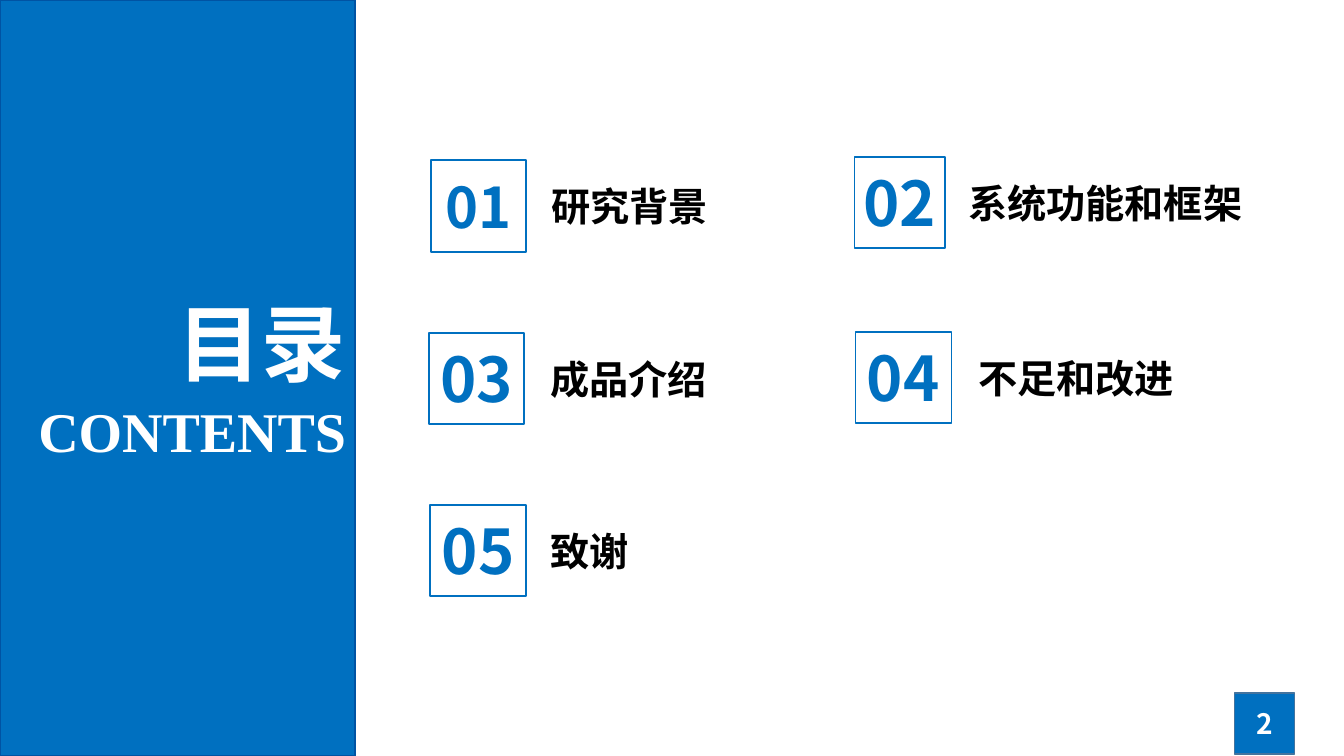
from lxml import etree
from pptx import Presentation
from pptx.dml.color import RGBColor
from pptx.enum.shapes import MSO_SHAPE
from pptx.enum.text import MSO_ANCHOR, MSO_AUTO_SIZE, PP_ALIGN
from pptx.oxml.ns import qn
from pptx.util import Emu, Inches, Pt

RECTANGLE = MSO_SHAPE.RECTANGLE
TOP, MIDDLE = MSO_ANCHOR.TOP, MSO_ANCHOR.MIDDLE
NO_AUTOFIT = MSO_AUTO_SIZE.NONE
LEFT, CENTER, RIGHT = PP_ALIGN.LEFT, PP_ALIGN.CENTER, PP_ALIGN.RIGHT

BLUE = RGBColor(0x00, 0x70, 0xC0)
PANEL_EDGE = RGBColor(0x00, 0x53, 0xA3)
PAGE_EDGE = RGBColor(0x43, 0x73, 0x9E)
WHITE = RGBColor(0xFF, 0xFF, 0xFF)
BLACK = RGBColor(0x00, 0x00, 0x00)
SANS, SERIF = "Noto Sans CJK SC", "Times New Roman"

HEADING, SUBHEADING, PAGE = "目录", "CONTENTS", "2"
# number, number size, label, square box, label left, label width
ENTRIES = [
    ("01", 40, "研究背景", (431, 160, 95, 92), 541, 319),
    ("02", 44, "系统功能和框架", (854, 157, 91, 91), 958, 356),
    ("03", 44, "成品介绍", (429, 333, 95, 91), 540, 265),
    ("04", 44, "不足和改进", (855, 332, 96, 91), 968, 258),
    ("05", 44, "致谢", (430, 505, 96, 91), 540, 264),
]
NUMBER_WIDTH, LABEL_HEIGHT = 138, 57
NUMBER_HEIGHTS = {40: 77, 44: 85}
PANEL_BOX = (0, 0, 355, 756)
HEADING_BOX = (99, 286, 256, 112)
SUBHEADING_BOX = (0, 392, 356, 78)
PAGE_BOX = (1234, 693, 60, 61)
PIXEL = 914400 / 100.8


def place(box):
    """Turn a pixel box into EMU lengths."""
    return [Emu(round(value * PIXEL)) for value in box]


def write(shape, text, size, color, align, font=SANS, anchor=TOP):
    """Put one bold line of text into a shape."""
    frame = shape.text_frame
    frame_format = {"word_wrap": True, "auto_size": NO_AUTOFIT,
                    "vertical_anchor": anchor}
    for key, value in frame_format.items():
        setattr(frame, key, value)
    paragraph = frame.paragraphs[0]
    paragraph.alignment = align
    run = paragraph.add_run()
    run.text = text
    for key, value in {"name": font, "size": Pt(size), "bold": True}.items():
        setattr(run.font, key, value)
    run.font.color.rgb = color
    east_asian = etree.SubElement(run.font._element, qn("a:ea"))
    east_asian.set("typeface", font)


def add_box(shapes, box, edge, fill=None):
    """Add a rectangle with a thin edge and an optional fill."""
    shape = shapes.add_shape(RECTANGLE, *place(box))
    shape.shadow.inherit = False
    if fill is None:
        shape.fill.background()
    else:
        shape.fill.solid()
        shape.fill.fore_color.rgb = fill
    shape.line.color.rgb = edge
    shape.line.width = Pt(1)
    return shape


def add_entry(slide, number, size, label, square, label_left, label_width):
    """Add a numbered square and its label, all on one centre line."""
    left, top, width, height = square
    middle = top + height / 2
    number_height = NUMBER_HEIGHTS[size]
    number_box = (left + (width - NUMBER_WIDTH) / 2,
                  middle - number_height / 2, NUMBER_WIDTH, number_height)
    label_box = (label_left, middle - LABEL_HEIGHT / 2,
                 label_width, LABEL_HEIGHT)
    shapes = slide.shapes.add_group_shape().shapes
    write(shapes.add_textbox(*place(label_box)), label, 28, BLACK, LEFT)
    write(shapes.add_textbox(*place(number_box)), number, size, BLUE, CENTER)
    add_box(shapes, square, BLUE)


def main():
    """Build the contents slide and save it."""
    deck = Presentation()
    deck.slide_width, deck.slide_height = Inches(13.33), Inches(7.5)
    slide = deck.slides.add_slide(deck.slide_layouts[5])
    shapes = slide.shapes

    panel = add_box(shapes, PANEL_BOX, PANEL_EDGE, BLUE)
    heading = shapes.title
    panel._element.addnext(heading._element)
    heading.left, heading.top, heading.width, heading.height = place(HEADING_BOX)
    write(heading, HEADING, 60, WHITE, RIGHT)
    subheading = shapes.add_textbox(*place(SUBHEADING_BOX))
    write(subheading, SUBHEADING, 40, WHITE, RIGHT, SERIF)

    for entry in ENTRIES:
        add_entry(slide, *entry)

    page = add_box(shapes, PAGE_BOX, PAGE_EDGE, BLUE)
    write(page, PAGE, 20, WHITE, CENTER, anchor=MIDDLE)
    deck.save("out.pptx")


main()
